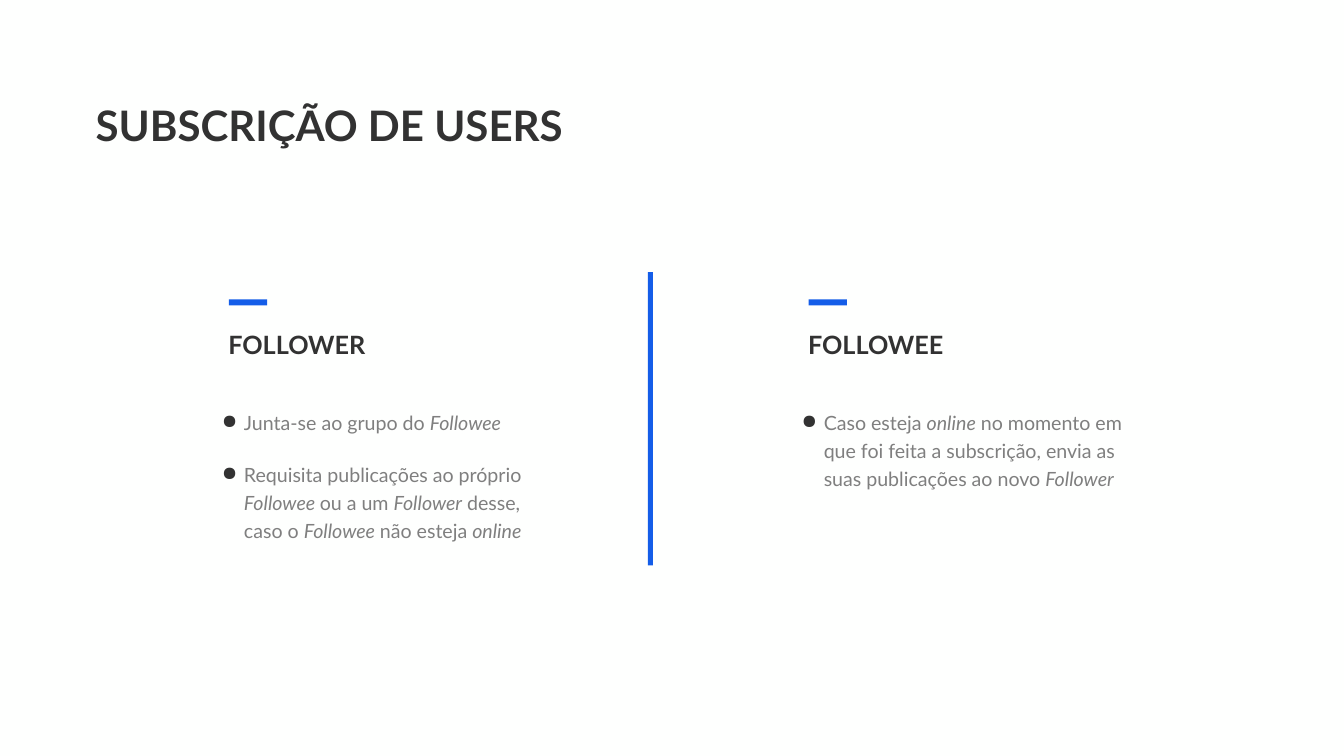
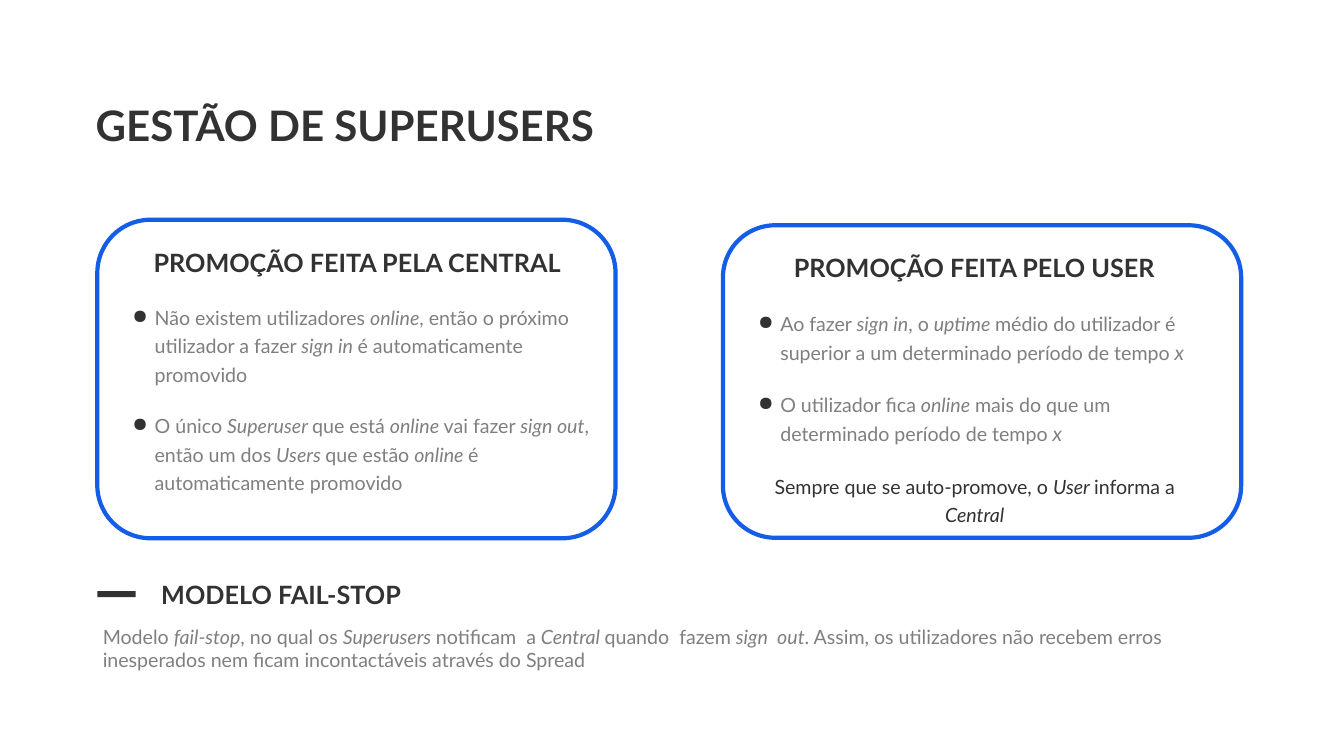
from lxml import etree
from pptx import Presentation
from pptx import util as u
from pptx.dml.color import RGBColor
from pptx.enum import shapes, text
from pptx.oxml.ns import qn

PX = 9144  # one px is a hundredth of an inch
FONT = "Lato"
COLORS = {"paper": "FEFFFE", "ink": "323232", "body": "7F7F7F", "accent": "145DE8"}
TITLE, HEADING, BODY, VARIABLE = 60, 36, 28, 29
LINE_SPACING = 1.2
BULLET_GAP, NOTE_GAP = 33.6, 34.8


def px(*lengths):
    return [u.Emu(length * PX) for length in lengths]


def color(name):
    return RGBColor.from_string(COLORS[name])


def write(paragraph, words, size=BODY, ink="body", bold=False, center=False,
          spacing=None, before=0, bullet=False):
    """Fill a paragraph; words between asterisks are italic."""
    if center:
        paragraph.alignment = text.PP_ALIGN.CENTER
    if spacing:
        paragraph.line_spacing = spacing
    if before:
        paragraph.space_before = u.Pt(before)
    if bullet:
        properties = paragraph._p.get_or_add_pPr()
        indent, hang = px(50, -44)
        properties.set("marL", str(indent))
        properties.set("indent", str(hang))
        bullet_color = etree.SubElement(properties, qn("a:buClr"))
        etree.SubElement(bullet_color, qn("a:srgbClr"), val=COLORS["ink"])
        etree.SubElement(properties, qn("a:buChar"), char="●")
    for index, part in enumerate(words.split("*")):
        if not part:
            continue
        run = paragraph.add_run()
        run.text = part
        font = run.font
        font.name, font.bold, font.italic = FONT, bold, index % 2 == 1
        font.size = u.Pt(VARIABLE if part == "x" else size)
        font.color.rgb = color(ink)


class Deck:
    def __init__(self, width, height):
        self.presentation = Presentation()
        self.presentation.slide_width, self.presentation.slide_height = px(width, height)
        self.slide = None

    def new_slide(self, title):
        self.slide = self.presentation.slides.add_slide(self.presentation.slide_layouts[6])
        fill = self.slide.background.fill
        fill.solid()
        fill.fore_color.rgb = color("paper")
        self.line_of_text(180, 193, 1177, 111, title, size=TITLE, ink="ink", bold=True)

    def text_frame(self, left, top, width, height, inset=(10, 5)):
        box = self.slide.shapes.add_textbox(*px(left, top, width, height))
        frame = box.text_frame
        frame.word_wrap = True
        frame.margin_left, frame.margin_top = px(*inset)
        frame.margin_right, frame.margin_bottom = px(*inset)
        return frame

    def line_of_text(self, left, top, width, height, words, **style):
        write(self.text_frame(left, top, width, height).paragraphs[0], words, **style)

    def heading(self, left, top, width, words, center=False):
        self.line_of_text(left, top, width, 71, words, size=HEADING, ink="ink",
                          bold=True, center=center)

    def bullets(self, left, top, width, height, items, inset, note=None):
        frame = self.text_frame(left, top, width, height, inset)
        for index, item in enumerate(items):
            paragraph = frame.add_paragraph() if index else frame.paragraphs[0]
            write(paragraph, item, spacing=LINE_SPACING, bullet=True,
                  before=BULLET_GAP if index else 0)
        if note:
            write(frame.add_paragraph(), note, ink="ink", center=True,
                  spacing=LINE_SPACING, before=NOTE_GAP)

    def bar(self, left, top, width=76, height=12, fill="accent"):
        shape = self.slide.shapes.add_shape(
            shapes.MSO_SHAPE.RECTANGLE, *px(left, top, width, height))
        shape.shadow.inherit = False
        shape.fill.solid()
        shape.fill.fore_color.rgb = color(fill)
        shape.line.fill.background()

    def column(self, left, title, items, width, height):
        self.bar(left, 594)
        self.heading(left - 11, 648, 466, title)
        self.bullets(left - 44, 794, width, height, items, inset=(24, 12))

    def card(self, left, top, height, title, items, title_shift, body_width, note=None):
        shape = self.slide.shapes.add_shape(
            shapes.MSO_SHAPE.ROUNDED_RECTANGLE, *px(left, top, 1028, height))
        shape.adjustments[0] = 0.167
        shape.shadow.inherit = False
        shape.fill.solid()
        shape.fill.fore_color.rgb = color("paper")
        shape.line.color.rgb = color("accent")
        shape.line.width = u.Pt(6)
        self.bullets(left + 54, top + 152, body_width, 391, items, (10, 10), note)
        self.heading(left + title_shift, top + 49, 891, title, center=True)


def subscription_slide(deck):
    deck.new_slide("SUBSCRIÇÃO DE USERS")
    deck.column(454, "FOLLOWER", [
        "Junta-se ao grupo do *Followee*",
        "Requisita publicações ao próprio *Followee *ou a um *Follower* desse, "
        "caso o *Followee* não esteja *online*",
    ], width=714, height=268)
    deck.column(1604, "FOLLOWEE", [
        "Caso esteja *online* no momento em que foi feita a subscrição, "
        "envia as suas publicações ao novo *Follower*",
    ], width=698, height=410)
    # Divider between the columns
    deck.bar(1285, 540, width=10, height=582)


def superusers_slide(deck):
    deck.new_slide("GESTÃO DE SUPERUSERS")
    # Two ways of promotion
    deck.card(193, 436, 632, "PROMOÇÃO FEITA PELA CENTRAL", [
        "Não existem utilizadores *online*, então o próximo utilizador a fazer "
        "*sign in *é automaticamente promovido",
        "O único *Superuser *que está *online* vai fazer *sign out*, então um dos "
        "*Users *que estão *online *é automaticamente promovido",
    ], title_shift=70, body_width=963)
    deck.card(1434, 447, 620, "PROMOÇÃO FEITA PELO USER", [
        "Ao fazer *sign in*, o *uptime *médio do utilizador é superior a um "
        "determinado período de tempo *x*",
        "O utilizador fica *online* mais do que um determinado período de tempo *x*",
    ], title_shift=53, body_width=891,
        note="Sempre que se auto-promove, o *User *informa a *Central*")
    # Failure model
    deck.heading(310, 1144, 678, "MODELO FAIL-STOP")
    deck.bar(193, 1173, fill="ink")
    deck.line_of_text(
        194, 1234, 2279, 98,
        "Modelo *fail-stop*, no qual os *Superusers *notificam  a *Central *quando  fazem "
        "*sign  out*. Assim, os utilizadores não recebem erros inesperados nem ficam "
        "incontactáveis através do Spread")


def main():
    deck = Deck(2666, 1500)
    subscription_slide(deck)
    superusers_slide(deck)
    deck.presentation.save("out.pptx")


if __name__ == "__main__":
    main()
